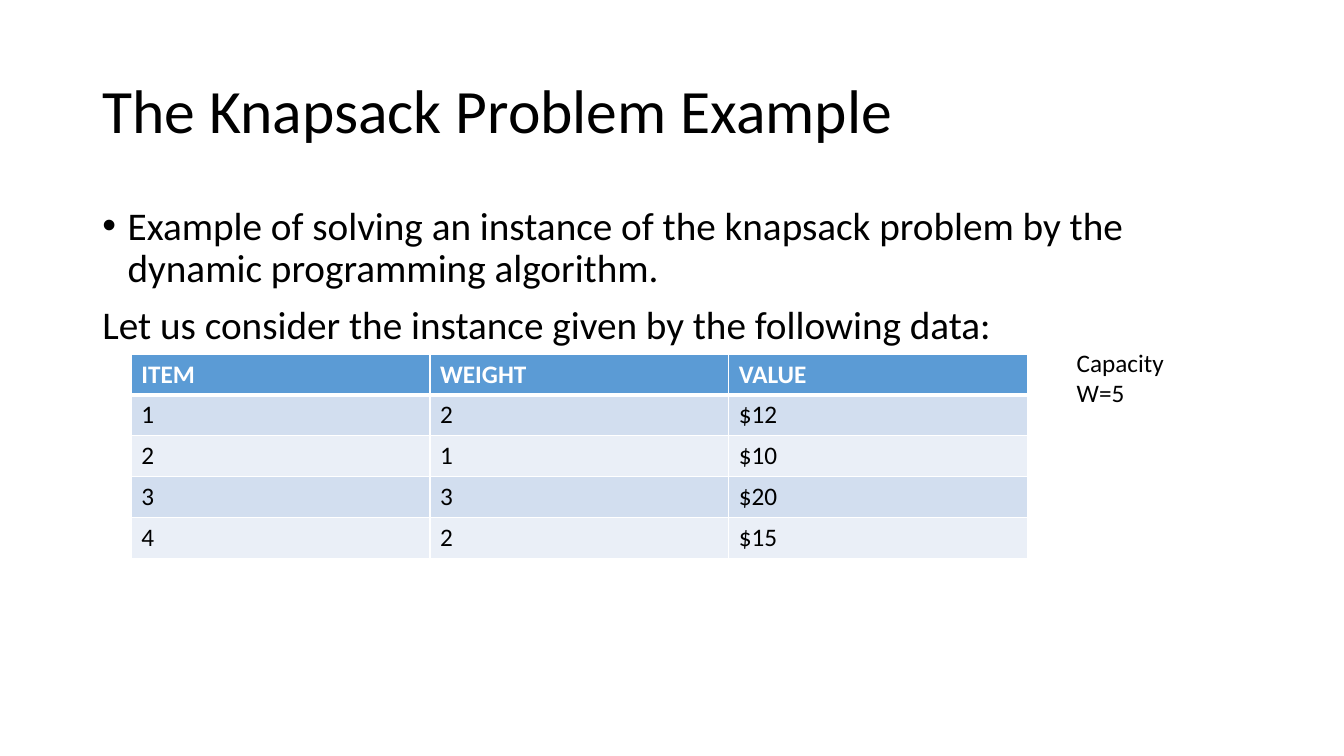
from dataclasses import dataclass

from lxml import etree
from pptx import Presentation
from pptx.dml.color import RGBColor
from pptx.enum import text
from pptx.oxml import ns
from pptx.util import Pt


@dataclass(frozen=True)
class Theme:
    font: str = "Calibri"
    ink: str = "000000"
    white: str = "FFFFFF"
    header: str = "5B9BD5"
    bands: tuple = ("D2DEEF", "EAEFF7")
    title_size: int = 44
    body_size: int = 28
    small_size: int = 18


THEME = Theme()


def style(paragraph, size, color=THEME.ink, bold=False):
    for run in paragraph.runs:
        run.font.name = THEME.font
        run.font.size = Pt(size)
        run.font.bold = bold
        run.font.color.rgb = RGBColor.from_string(color)


def add_border(cell, side, width):
    """Draw one white cell edge; side is L, R, T or B, in that order."""
    line = etree.SubElement(cell._tc.get_or_add_tcPr(), ns.qn(f"a:ln{side}"), w=str(Pt(width)))
    fill = etree.SubElement(line, ns.qn("a:solidFill"))
    etree.SubElement(fill, ns.qn("a:srgbClr"), val=THEME.white)


prs = Presentation()
prs.slide_width, prs.slide_height = Pt(960), Pt(540)
slide = prs.slides.add_slide(prs.slide_layouts[1])

# Title
title = slide.shapes.title
title.left, title.top, title.width, title.height = Pt(66), Pt(28.8), Pt(828), Pt(104.4)
title.text_frame.text = "The Knapsack Problem Example"
title.text_frame.vertical_anchor = text.MSO_ANCHOR.MIDDLE
heading = title.text_frame.paragraphs[0]
heading.alignment = text.PP_ALIGN.LEFT
heading.line_spacing = 0.9
style(heading, THEME.title_size)

# Introduction
intro = slide.placeholders[1]
intro.left, intro.top, intro.width, intro.height = Pt(66), Pt(144), Pt(828), Pt(342.7)
intro.text_frame.text = (
    "Example of solving an instance of the knapsack problem by the dynamic programming algorithm.\n"
    "Let us consider the instance given by the following data:"
)
for paragraph, indent, bullet, gap in zip(intro.text_frame.paragraphs, (18, 0), ("•", None), (0, 10)):
    properties = paragraph._p.get_or_add_pPr()
    properties.set("marL", str(Pt(indent)))
    properties.set("indent", str(-Pt(indent)))
    if bullet:
        etree.SubElement(properties, ns.qn("a:buFont"), typeface="Arial")
        etree.SubElement(properties, ns.qn("a:buChar"), char=bullet)
    else:
        etree.SubElement(properties, ns.qn("a:buNone"))
    paragraph.line_spacing = 0.9
    paragraph.space_before = Pt(gap)
    style(paragraph, THEME.body_size)

# Items
items = [
    ("ITEM", "WEIGHT", "VALUE"),
    ("1", "2", "$12"),
    ("2", "1", "$10"),
    ("3", "3", "$20"),
    ("4", "2", "$15"),
]
item_table = slide.shapes.add_table(
    len(items), len(items[0]), Pt(93.8), Pt(252.9), Pt(640.2), Pt(146)
).table
for row, values in enumerate(items):
    is_header = row == 0
    for column, value in enumerate(values):
        cell = item_table.cell(row, column)
        cell.text_frame.text = value
        style(cell.text_frame.paragraphs[0], THEME.small_size,
              THEME.white if is_header else THEME.ink, is_header)
        for side in "LRTB":
            under_header = (row, side) in ((0, "B"), (1, "T"))
            add_border(cell, side, 3 if under_header else 1)
        cell.fill.solid()
        color = THEME.header if is_header else THEME.bands[(row - 1) % 2]
        cell.fill.fore_color.rgb = RGBColor.from_string(color)

# Capacity
capacity = slide.shapes.add_textbox(Pt(762), Pt(244.2), Pt(86), Pt(50.9))
capacity.text_frame.word_wrap = True
capacity.text_frame.auto_size = text.MSO_AUTO_SIZE.SHAPE_TO_FIT_TEXT
capacity_text = capacity.text_frame.paragraphs[0]
capacity_text.text = "Capacity\vW=5"
style(capacity_text, THEME.small_size)

prs.save("out.pptx")
